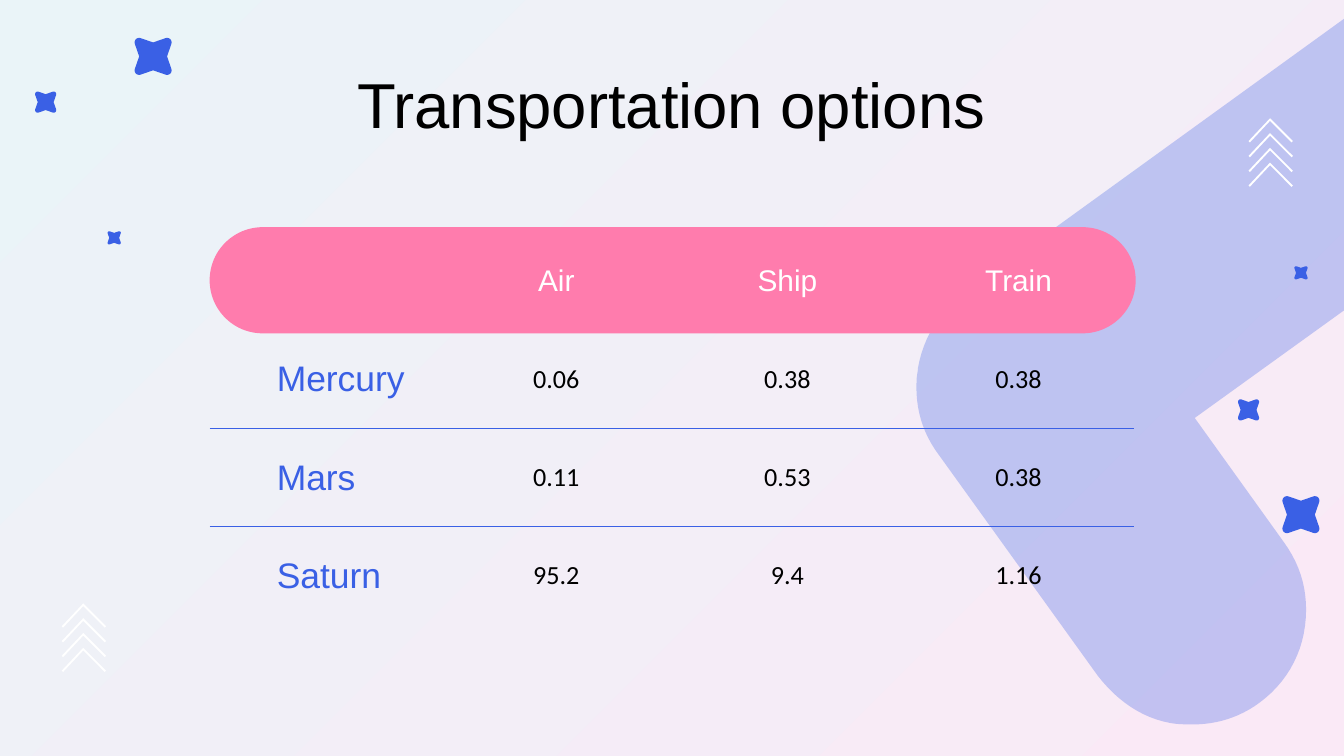
from lxml import etree
from pptx import Presentation
from pptx import util as u
from pptx.dml.color import RGBColor
from pptx.enum import shapes, text
from pptx.oxml.ns import qn

BLUE, PINK, WHITE, BLACK = "3A60E5", "FF7CAD", "FFFFFF", "000000"
BACKGROUND = ("FAE9F6", "EAF4F8")
NO_STYLE = "{2D5ABB26-0587-4C30-8999-92F81FD0307C}"

TITLE = "Transportation options"
ROWS = [
    ("", "Air", "Ship", "Train"),
    ("Mercury", "0.06", "0.38", "0.38"),
    ("Mars", "0.11", "0.53", "0.38"),
    ("Saturn", "95.2", "9.4", "1.16"),
]
COLUMN_WIDTH, ROW_HEIGHT = 1.72, 0.73

BAND = [
    (10, 0.14), (7.18, 2.18),
    (6.99, 2.32, 6.87, 2.51, 6.83, 2.74),
    (6.83, 2.77, 6.82, 2.8, 6.82, 2.83),
    (6.81, 3.03, 6.86, 3.22, 6.99, 3.39),
    (8.17, 5.03),
    (8.31, 5.21, 8.49, 5.34, 8.71, 5.38),
    (8.77, 5.39, 8.82, 5.39, 8.88, 5.39),
    (9.05, 5.39, 9.22, 5.34, 9.37, 5.23),
    (9.56, 5.09, 9.68, 4.89, 9.71, 4.66),
    (9.74, 4.43, 9.69, 4.22, 9.55, 4.03),
    (8.89, 3.11), (10, 2.31),
]
STAR_QUARTER = [(-0.74, 0), (-0.97, -0.66), (-1.03, -0.86, -0.86, -1.03, -0.66, -0.97)]
STARS = [
    (0.85, 1.77, 0.05), (0.34, 0.76, 0.08), (1.14, 0.42, 0.14),
    (9.68, 2.03, 0.05), (9.29, 3.05, 0.08), (9.68, 3.83, 0.14),
]
CHEVRON = [(0.16, 0), (0, 0.17), (0.01, 0.18), (0.16, 0.02), (0.32, 0.18), (0.33, 0.17)]
CHEVRON_STACKS = [(0.46, 4.49), (9.29, 0.88)]
CHEVRON_COUNT, CHEVRON_STEP = 4, 0.11


def color(value):
    return RGBColor.from_string(value)


def flatten(path, steps=12):
    points = []
    for segment in path:
        if len(segment) == 2:
            points.append(segment)
            continue
        x0, y0 = points[-1]
        x1, y1, x2, y2, x3, y3 = segment
        for step in range(1, steps + 1):
            t = step / steps
            a, b, c, d = (1 - t) ** 3, 3 * t * (1 - t) ** 2, 3 * t * t * (1 - t), t ** 3
            points.append((a * x0 + b * x1 + c * x2 + d * x3,
                           a * y0 + b * y1 + c * y2 + d * y3))
    return points


def paint(shape, fill):
    shape.shadow.inherit = False
    shape.fill.solid()
    shape.fill.fore_color.rgb = color(fill)
    shape.line.fill.background()


def add_outline(parent, points, fill):
    corners = [(u.Inches(x), u.Inches(y)) for x, y in points]
    builder = parent.build_freeform(*corners[0])
    builder.add_line_segments(corners[1:], close=True)
    shape = builder.convert_to_shape()
    paint(shape, fill)
    return shape


def add_star(parent, center_x, center_y, radius):
    quarter, points = flatten(STAR_QUARTER), []
    for _ in range(4):
        points += quarter
        quarter = [(-y, x) for x, y in quarter]
    add_outline(parent, [(center_x + radius * x, center_y + radius * y) for x, y in points], BLUE)


def write(frame, content, size, fill, font="Arial", align=text.PP_ALIGN.CENTER, spacing=None):
    paragraph = frame.paragraphs[0]
    paragraph.alignment = align
    paragraph.line_spacing = spacing
    run = paragraph.add_run()
    run.text = content
    run.font.name = font
    run.font.size = u.Pt(size)
    run.font.color.rgb = color(fill)


def set_margins(box, left=0.1):
    box.margin_left = u.Inches(left)
    box.margin_right = box.margin_top = box.margin_bottom = u.Inches(0.1)


def add_border(cell, side):
    line = etree.Element(qn("a:" + side), w=str(int(u.Pt(0.75))), cap="flat", cmpd="sng")
    fill = etree.SubElement(line, qn("a:solidFill"))
    etree.SubElement(fill, qn("a:srgbClr"), val=BLUE)
    etree.SubElement(line, qn("a:prstDash"), val="solid")
    etree.SubElement(line, qn("a:round"))
    cell._tc.get_or_add_tcPr().insert(0, line)


def add_options_table(slide):
    frame = slide.shapes.add_table(
        len(ROWS), len(ROWS[0]), u.Inches(1.56), u.Inches(1.73),
        u.Inches(COLUMN_WIDTH * len(ROWS[0])), u.Inches(ROW_HEIGHT * len(ROWS)))
    table = frame.table
    table.first_row = table.horz_banding = False
    table._tbl.tblPr.find(qn("a:tableStyleId")).text = NO_STYLE
    for column in table.columns:
        column.width = u.Inches(COLUMN_WIDTH)
    for r, values in enumerate(ROWS):
        table.rows[r].height = u.Inches(ROW_HEIGHT)
        for c, value in enumerate(values):
            cell = table.cell(r, c)
            is_name = r > 0 and c == 0
            set_margins(cell, left=0.5 if is_name else 0.1)
            cell.vertical_anchor = text.MSO_ANCHOR.MIDDLE
            cell.fill.background()
            if 0 < r < len(ROWS) - 1:
                add_border(cell, "lnB")
            if r > 1:
                add_border(cell, "lnT")
            if is_name:
                write(cell.text_frame, value, 19, BLUE, align=text.PP_ALIGN.LEFT)
            elif r > 0:
                write(cell.text_frame, value, 14, BLACK, font="Calibri")
            elif value:
                write(cell.text_frame, value, 16, WHITE)


def add_title(slide):
    title = slide.shapes.title
    title.left, title.top = u.Inches(0.79), u.Inches(0.49)
    title.width, title.height = u.Inches(8.41), u.Inches(0.63)
    frame = title.text_frame
    frame.auto_size = text.MSO_AUTO_SIZE.NONE
    frame.vertical_anchor = text.MSO_ANCHOR.TOP
    set_margins(frame)
    write(frame, TITLE, 34, BLACK, spacing=0.8)
    slide.shapes.element.append(title.element)


def main():
    presentation = Presentation()
    presentation.slide_width = u.Inches(10)
    presentation.slide_height = presentation.slide_width * 9 // 16
    slide = presentation.slides.add_slide(presentation.slide_layouts[5])

    background = slide.background.fill
    background.gradient()
    background.gradient_angle = 135
    for stop, value in zip(background.gradient_stops, BACKGROUND):
        stop.color.rgb = color(value)

    band = add_outline(slide.shapes, flatten(BAND), BLUE)
    band_color = band.element.spPr.find(qn("a:solidFill")).find(qn("a:srgbClr"))
    etree.SubElement(band_color, qn("a:alpha"), val="29000")

    for star in STARS:
        add_star(slide.shapes, *star)

    for left, top in CHEVRON_STACKS:
        stack = slide.shapes.add_group_shape()
        for i in range(CHEVRON_COUNT):
            offset = top + i * CHEVRON_STEP
            add_outline(stack.shapes, [(left + x, offset + y) for x, y in CHEVRON], WHITE)

    header = slide.shapes.add_shape(
        shapes.MSO_SHAPE.ROUNDED_RECTANGLE,
        u.Inches(1.56), u.Inches(1.69), u.Inches(6.89), u.Inches(0.79))
    header.adjustments[0] = 0.5
    paint(header, PINK)

    add_options_table(slide)
    add_title(slide)
    presentation.save("out.pptx")


if __name__ == "__main__":
    main()
